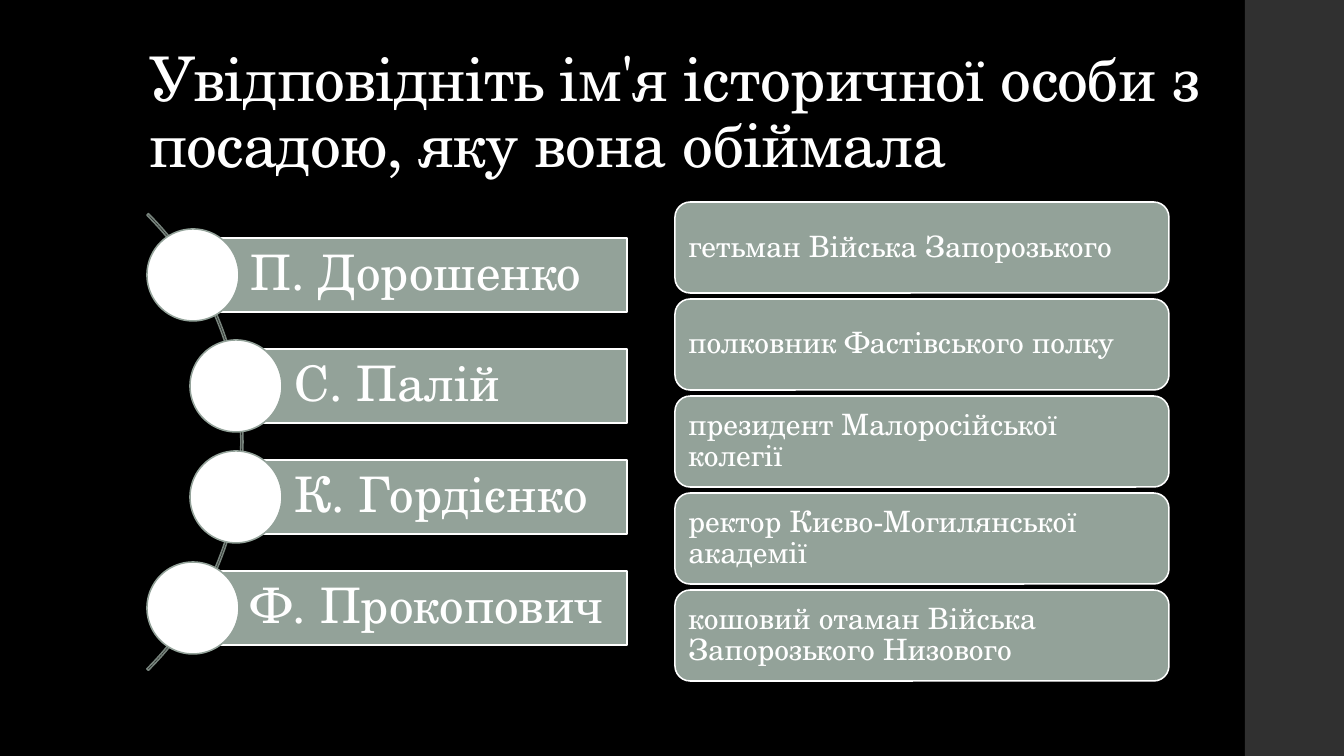
from pptx import Presentation
from pptx.dml.color import RGBColor
from pptx.enum.shapes import MSO_SHAPE
from pptx.enum.text import MSO_ANCHOR, MSO_AUTO_SIZE, PP_ALIGN
from pptx.util import Pt

RECT, ROUNDED = MSO_SHAPE.RECTANGLE, MSO_SHAPE.ROUNDED_RECTANGLE
OVAL, ARC = MSO_SHAPE.OVAL, MSO_SHAPE.BLOCK_ARC
LEFT, MIDDLE, BOTTOM = PP_ALIGN.LEFT, MSO_ANCHOR.MIDDLE, MSO_ANCHOR.BOTTOM
PX = 914400 / 100.8

THEME = {
    "font": "TeX Gyre Schola",
    "black": RGBColor(0x00, 0x00, 0x00),
    "white": RGBColor(0xFF, 0xFF, 0xFF),
    "strip": RGBColor(0x30, 0x30, 0x30),
    "sage": RGBColor(0x93, 0xA2, 0x99),
    "arc": RGBColor(0x76, 0x82, 0x7B),
    "title": Pt(44),
    "name": Pt(35),
    "post": Pt(21),
    "line": Pt(1.1),
}

NAMES = [
    ("П. Дорошенко", 193),
    ("С. Палій", 236),
    ("К. Гордієнко", 236),
    ("Ф. Прокопович", 193),
]
POSTS = [
    "гетьман Війська Запорозького",
    "полковник Фастівського полку",
    "президент Малоросійської колегії",
    "ректор Києво-Могилянської академії",
    "кошовий отаман Війська Запорозького Низового",
]


def add_box(kind, x, y, w, h, fill=None, line=None):
    sp = s.shapes.add_shape(kind, *(round(v * PX) for v in (x, y, w, h)))
    sp.shadow.inherit = False
    if fill is None:
        sp.fill.background()
    else:
        sp.fill.solid()
        sp.fill.fore_color.rgb = fill
    if line is None:
        sp.line.fill.background()
    else:
        sp.line.color.rgb = line
        sp.line.width = THEME["line"]
    return sp


def set_text(sp, text, size, anchor, left, other):
    tf = sp.text_frame
    tf.word_wrap = True
    tf.auto_size = MSO_AUTO_SIZE.NONE
    tf.vertical_anchor = anchor
    tf.margin_left = round(left * PX)
    tf.margin_top = tf.margin_right = tf.margin_bottom = round(other * PX)
    p = tf.paragraphs[0]
    p.text = text
    p.alignment = LEFT
    p.line_spacing = 0.9
    p.font.name = THEME["font"]
    p.font.size = THEME[size]
    p.font.color.rgb = THEME["white"]
    return p


prs = Presentation()
prs.slide_width, prs.slide_height = round(1344 * PX), round(756 * PX)
s = prs.slides.add_slide(prs.slide_layouts[5])
s.background.fill.solid()
s.background.fill.fore_color.rgb = THEME["black"]

add_box(RECT, 1245, 0, 99, 756, THEME["strip"])

title = s.shapes.title
title.left, title.top, title.width, title.height = (
    round(v * PX) for v in (139, 40, 1068, 146))
p = set_text(title, "Увідповідніть ім'я історичної особи з посадою, яку вона обіймала",
             "title", BOTTOM, 10, 5)
p.runs[0].font._element.set("spc", "-50")

arc = add_box(ARC, -403, 119, 646, 646, line=THEME["arc"])
arc.adjustments[0] = 189
arc.adjustments[1] = 27
arc.adjustments[2] = 0.0034

for i, (name, x) in enumerate(NAMES):
    y = 238 + 111 * i
    bar = add_box(RECT, x, y, 627 - x, 74, THEME["sage"], THEME["white"])
    set_text(bar, name, "name", MIDDLE, 58, 10)
    add_box(OVAL, x - 46, y - 9, 92, 92, THEME["white"], THEME["sage"])

for i, post in enumerate(POSTS):
    card = add_box(ROUNDED, 675, 202 + 97 * i, 494, 91, THEME["sage"], THEME["white"])
    set_text(card, post, "post", MIDDLE, 9, 9)

prs.save("out.pptx")
